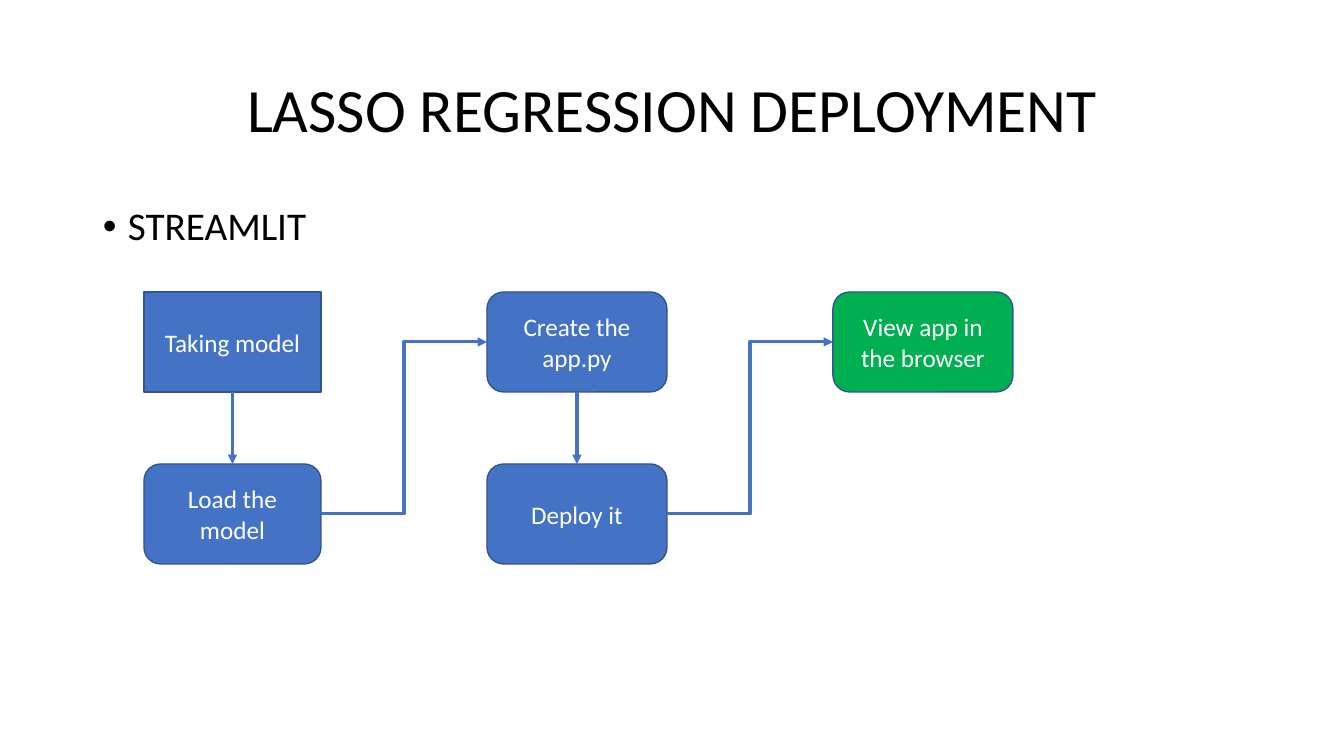
from lxml.etree import SubElement
from pptx import Presentation
from pptx.dml.color import RGBColor
from pptx.enum.shapes import MSO_CONNECTOR as Connector, MSO_SHAPE as Shape
from pptx.enum.text import MSO_ANCHOR as Anchor, PP_ALIGN as Align
from pptx.oxml.ns import qn
from pptx.util import Emu, Pt

EMU_PER_PIXEL = 914400 / 100.8
COLORS = {
    "text": "000000",
    "box_text": "FFFFFF",
    "step": "4472C4",
    "result": "00B050",
    "outline": "325491",
}
TOP, BOTTOM, LEFT, RIGHT = 0, 2, 1, 3  # connection sites of a box


def px(pixels):
    """Turn whole pixels into EMU."""
    return Emu(round(pixels * EMU_PER_PIXEL))


def color(name):
    """Look up a named colour."""
    return RGBColor.from_string(COLORS[name])


def write_text(frame, text, size, ink="text", align=Align.CENTER,
               anchor=Anchor.MIDDLE, line_spacing=1.0, space_before=0):
    """Write one formatted paragraph into a text frame and return it."""
    frame.word_wrap = True
    frame.vertical_anchor = anchor
    paragraph = frame.paragraphs[0]
    paragraph.alignment = align
    paragraph.line_spacing = line_spacing
    paragraph.space_before = Pt(space_before)
    run = paragraph.add_run()
    run.text = text
    run.font.name = SlideBuilder.font
    run.font.size = Pt(size)
    run.font.color.rgb = color(ink)
    return paragraph


class SlideBuilder:
    """Hold the style and the current slide."""

    font = "Calibri"
    box_size = 18
    outline_width = 1
    arrow_width = 2.25

    def __init__(self, slide):
        """Keep the slide to draw on."""
        self.slide = slide

    def text(self, left, top, width, height, text, size, **style):
        """Add a text box and return its paragraph."""
        box = self.slide.shapes.add_textbox(*map(px, (left, top, width, height)))
        return write_text(box.text_frame, text, size, **style)

    def bullet(self, left, top, width, height, text, size, indent):
        """Add a text box with one bulleted paragraph."""
        paragraph = self.text(left, top, width, height, text, size,
                              align=Align.LEFT, anchor=Anchor.TOP,
                              line_spacing=0.9, space_before=10)
        properties = paragraph._p.get_or_add_pPr()
        properties.set("marL", str(px(indent)))
        properties.set("indent", str(-px(indent)))
        SubElement(properties, qn("a:buFont"), typeface="Arial")
        SubElement(properties, qn("a:buChar"), char="•")

    def box(self, left, top, width, height, text,
            kind=Shape.ROUNDED_RECTANGLE, fill="step"):
        """Add a flowchart box and return it."""
        shape = self.slide.shapes.add_shape(
            kind, *map(px, (left, top, width, height)))
        shape.shadow.inherit = False
        shape.fill.solid()
        shape.fill.fore_color.rgb = color(fill)
        shape.line.color.rgb = color("outline")
        shape.line.width = Pt(self.outline_width)
        write_text(shape.text_frame, text, self.box_size, ink="box_text")
        return shape

    def arrow(self, source, source_site, target, target_site,
              kind=Connector.STRAIGHT):
        """Add an arrow glued to two boxes."""
        connector = self.slide.shapes.add_connector(kind, 0, 0, 0, 0)
        connector.begin_connect(source, source_site)
        connector.end_connect(target, target_site)
        connector.line.color.rgb = color("step")
        connector.line.width = Pt(self.arrow_width)
        SubElement(connector.line._get_or_add_ln(), qn("a:tailEnd"),
                   type="triangle")
        SubElement(connector._element.spPr, qn("a:effectLst"))


def main():
    """Build and save the deployment slide."""
    presentation = Presentation()
    presentation.slide_width, presentation.slide_height = px(1344), px(756)
    builder = SlideBuilder(
        presentation.slides.add_slide(presentation.slide_layouts[6]))

    builder.text(93, 40, 1159, 146, "LASSO REGRESSION DEPLOYMENT", 44,
                 line_spacing=0.9)
    builder.bullet(93, 202, 1159, 480, "STREAMLIT", 28, indent=25)

    upper, lower, height = 292, 464, 100
    first, second, third = (144, 177), (487, 180), (833, 180)

    def step(column, top, text, **style):
        """Place a box in a column given as left and width."""
        left, width = column
        return builder.box(left, top, width, height, text, **style)

    take = step(first, upper, "Taking model", kind=Shape.FLOWCHART_PROCESS)
    load = step(first, lower, "Load the model")
    create = step(second, upper, "Create the app.py")
    deploy = step(second, lower, "Deploy it")
    view = step(third, upper, "View app in the browser", fill="result")

    for source, target in ((take, load), (create, deploy)):
        builder.arrow(source, BOTTOM, target, TOP)
    for source, target in ((load, create), (deploy, view)):
        builder.arrow(source, RIGHT, target, LEFT, kind=Connector.ELBOW)

    presentation.save("out.pptx")


main()
